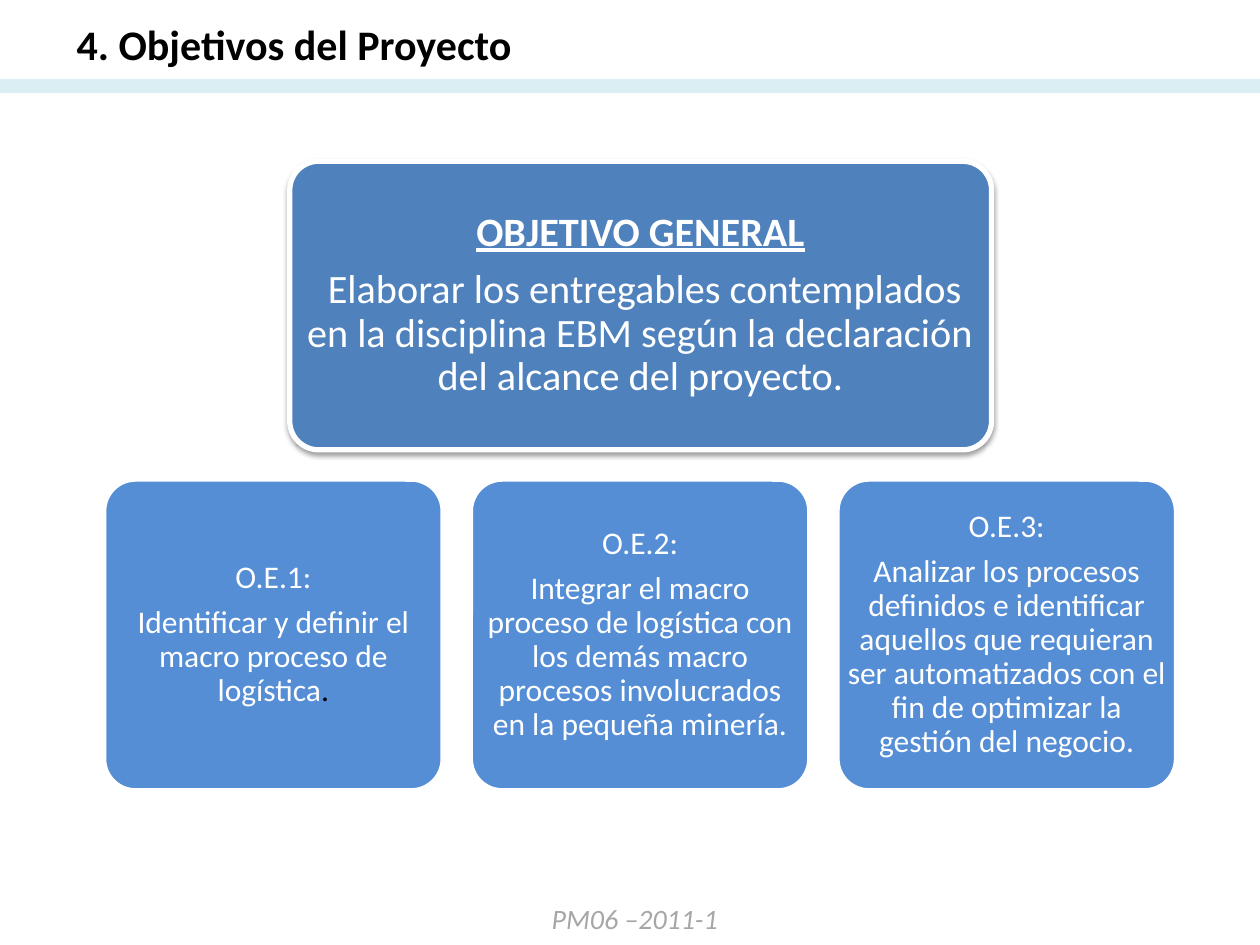
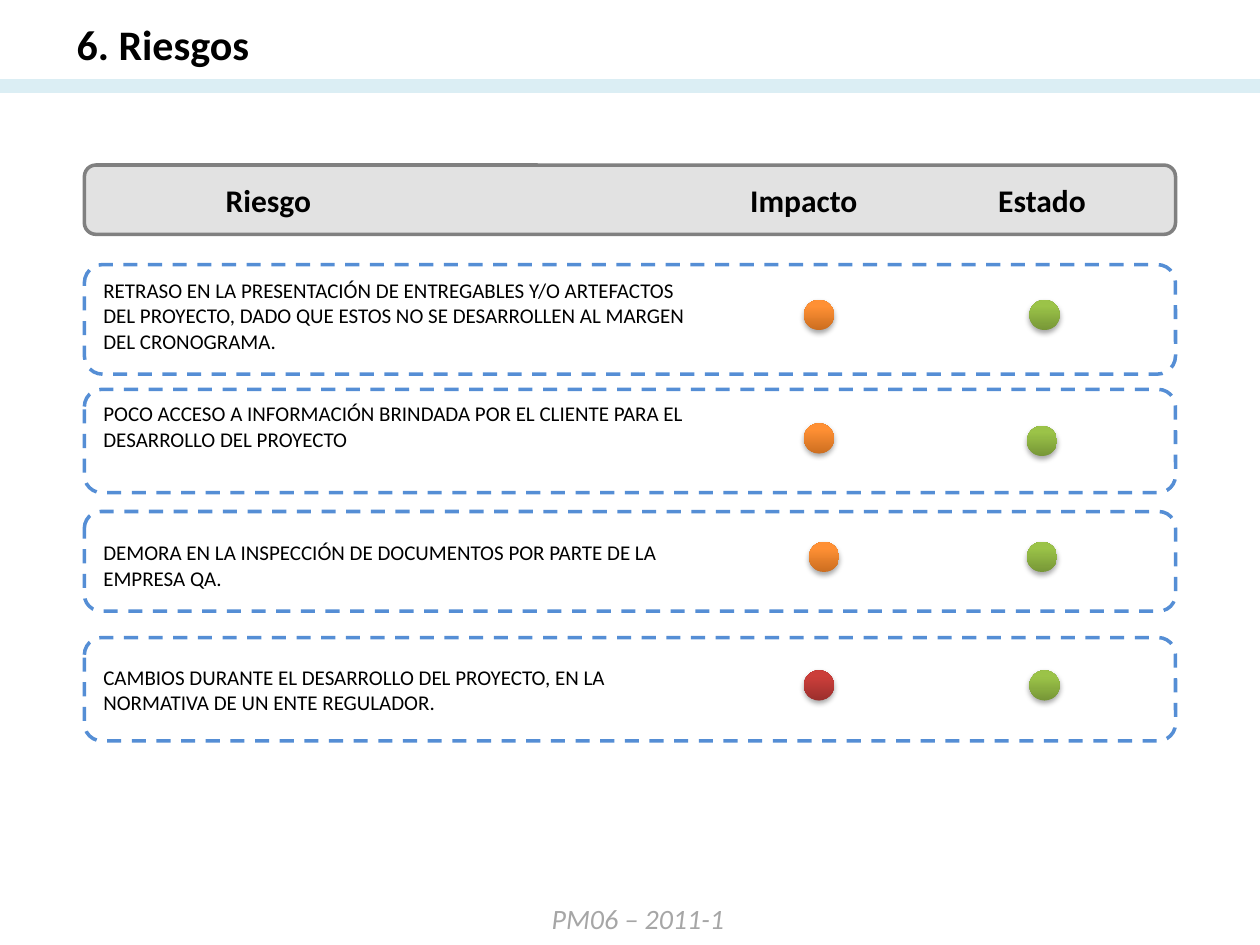
from dataclasses import dataclass
from lxml.etree import SubElement
from pptx import Presentation
from pptx.dml.color import RGBColor as Rgb
from pptx.enum.dml import MSO_LINE_DASH_STYLE as Dash
from pptx.enum.shapes import MSO_CONNECTOR as Connector, MSO_SHAPE as Shape
from pptx.enum.text import MSO_ANCHOR as Anchor, MSO_AUTO_SIZE as AutoSize, PP_ALIGN as Align
from pptx.oxml.ns import qn
from pptx.util import Inches, Pt


@dataclass(frozen=True)
class Theme:
    font: str = "Calibri"
    ink: str = "000000"
    paper: str = "FFFFFF"
    band: str = "DBEEF4"
    footer: str = "A6A6A6"
    general: str = "4F81BD"
    specific: str = "558ED5"
    header: str = "BFBFBF"
    header_line: str = "808080"
    green: tuple = ("779737", "9BC348")
    orange: tuple = ("CC6E20", "FF9034")
    red: tuple = ("9C2F2D", "CB3E3A")
    title_size: int = 24
    general_size: int = 23
    label_size: int = 18
    footer_size: int = 16
    risk_size: int = 12


theme = Theme()
deck = Presentation()
deck.slide_width, deck.slide_height = Inches(10), Inches(7.5)
COLUMN, ROW = deck.slide_width / 100, deck.slide_height / 75


def draw(page, kind, area, fill=None, line=None, weight=2, shadow=None):
    left, top, width, height = area
    place = [int(n) for n in (left * COLUMN, top * ROW, width * COLUMN, height * ROW)]
    if kind is None:
        return page.shapes.add_textbox(*place)
    shape = page.shapes.add_shape(kind, *place)
    shape.shadow.inherit = False
    if isinstance(fill, tuple):
        shape.fill.gradient()
        shape.fill.gradient_angle = 90
        for stop, colour, position in zip(shape.fill.gradient_stops, fill, (0, 0.8)):
            stop.color.rgb = Rgb.from_string(colour)
            stop.position = position
    elif fill:
        shape.fill.solid()
        shape.fill.fore_color.rgb = Rgb.from_string(fill)
    else:
        shape.fill.background()
    if line:
        shape.line.color.rgb = Rgb.from_string(line)
        shape.line.width = Pt(weight)
    else:
        shape.line.fill.background()
    if shadow:
        effects = shape.element.spPr.find(qn("a:effectLst"))
        cast = SubElement(effects, qn("a:outerShdw"), blurRad=str(Pt(3.1)),
                          dist=str(Pt(1.7)), dir="5400000", rotWithShape="0")
        black = SubElement(cast, qn("a:srgbClr"), val=theme.ink)
        SubElement(black, qn("a:alpha"), val=str(shadow * 1000))
    return shape


def write(frame, text, size, colour=theme.ink, bold=False, italic=False, align=Align.LEFT):
    frame.word_wrap = True
    frame.text = text
    for para in frame.paragraphs:
        para.alignment = align
        for span in para.runs:
            font = span.font
            font.name, font.size = theme.font, Pt(size)
            font.bold, font.italic = bold, italic
            font.color.rgb = Rgb.from_string(colour)


pages = []
for title, footer in (("4. Objetivos del Proyecto", "PM06 –2011-1 "),
                      ("6. Riesgos", "PM06 – 2011-1")):
    page = deck.slides.add_slide(deck.slide_layouts[6])
    box = draw(page, None, (42.8, 71.1, 15.9, 3.7))
    write(box.text_frame, footer, theme.footer_size, theme.footer, italic=True)
    box.text_frame.word_wrap = False
    box.text_frame.auto_size = AutoSize.SHAPE_TO_FIT_TEXT
    band_top = int(6.8 * ROW)
    band = page.shapes.add_connector(Connector.STRAIGHT, 0, band_top, deck.slide_width, band_top)
    band.line.color.rgb = Rgb.from_string(theme.band)
    band.line.width = Pt(8)
    SubElement(band.element.spPr, qn("a:effectLst"))
    box = draw(page, None, (5.1, 1, 50.4, 5))
    write(box.text_frame, title, theme.title_size, bold=True)
    pages.append(page)
goals_page, risks_page = pages

general = draw(goals_page, Shape.ROUNDED_RECTANGLE, (23, 12.8, 55.7, 22.9),
               theme.general, theme.paper, 3, shadow=38)
goals = [(general, theme.general_size, 0.3,
          "OBJETIVO GENERAL\n Elaborar los entregables contemplados en la disciplina EBM "
          "según la declaración del alcance del proyecto.")]
specific_goals = (
    "Identificar y definir el macro proceso de logística",
    "Integrar el macro proceso de logística con los demás macro procesos "
    "involucrados en la pequeña minería.",
    "Analizar los procesos definidos e identificar aquellos que requieran ser "
    "automatizados con el fin de optimizar la gestión del negocio.",
)
for index, goal in enumerate(specific_goals):
    card = draw(goals_page, Shape.ROUNDED_RECTANGLE, (8.3 + 29.1 * index, 38.1, 26.8, 24.6),
                theme.specific, theme.paper)
    goals.append((card, theme.label_size, 0, f"O.E.{index + 1}:\n{goal}"))
for box, size, inset, text in goals:
    box.adjustments[0] = 0.1
    frame = box.text_frame
    write(frame, text, size, theme.paper, align=Align.CENTER)
    frame.vertical_anchor = Anchor.MIDDLE
    frame.margin_left = frame.margin_right = int(inset * COLUMN)
    frame.margin_top = frame.margin_bottom = int(inset * ROW)
    for para in frame.paragraphs:
        para.line_spacing = 0.9
        para.space_after = Pt(0.35 * size)

heading = general.text_frame.paragraphs[0].runs[0].font
heading.bold = heading.underline = True
full_stop = goals[1][0].text_frame.paragraphs[1].add_run()
full_stop.text = "."
full_stop.font.name, full_stop.font.size = theme.font, Pt(theme.label_size)
full_stop.font.color.rgb = Rgb.from_string(theme.ink)

header = draw(risks_page, Shape.ROUNDED_RECTANGLE, (6.7, 13.1, 86.6, 5.5),
              theme.header, theme.header_line)
header_colour = header.element.spPr.find(qn("a:solidFill")).find(qn("a:srgbClr"))
SubElement(header_colour, qn("a:alpha"), val="45000")
for label, left, width in (("Riesgo", 13.8, 15), ("Impacto", 56.3, 15), ("Estado", 76.8, 11.8)):
    box = draw(risks_page, None, (left, 13.9, width, 4))
    write(box.text_frame, label, theme.label_size, bold=True, align=Align.CENTER)

risks = (
    ("RETRASO EN LA PRESENTACIÓN DE ENTREGABLES Y/O ARTEFACTOS DEL PROYECTO, "
     "DADO QUE ESTOS NO SE DESARROLLEN AL MARGEN DEL CRONOGRAMA.",
     20.6, 9, 21, 8.7, theme.orange, (63.8, 23.8), (81.7, 23.8)),
    ("POCO ACCESO A INFORMACIÓN BRINDADA POR EL CLIENTE PARA EL DESARROLLO DEL PROYECTO",
     30.4, 7, 30.9, 8.2, theme.orange, (63.8, 33.6), (81.5, 33.8)),
    ("DEMORA EN LA INSPECCIÓN DE DOCUMENTOS POR PARTE DE LA EMPRESA QA.",
     41.4, 7, 40.6, 7.9, theme.orange, (64.2, 43), (81.5, 43)),
    ("CAMBIOS DURANTE EL DESARROLLO DEL PROYECTO, EN LA NORMATIVA DE UN ENTE REGULADOR.",
     51.3, 7, 50.6, 8.2, theme.red, (63.8, 53.2), (81.7, 53.2)),
)
for text, top, height, frame_top, frame_height, impact, impact_spot, state_spot in risks:
    place = [int(n) for n in (6.7 * COLUMN, top * ROW, 85.1 * COLUMN, height * ROW)]
    table = risks_page.shapes.add_table(1, 3, *place).table
    for column, width in zip(table.columns, (49.8, 15.5, 19.8)):
        column.width = int(width * COLUMN)
    for cell in table.rows[0].cells:
        cell.fill.background()
    cell = table.cell(0, 0)
    cell.margin_left = cell.margin_right = int(1.5 * COLUMN)
    cell.margin_top = cell.margin_bottom = int(1.5 * ROW)
    write(cell.text_frame, text, theme.risk_size)
    outline = draw(risks_page, Shape.ROUNDED_RECTANGLE, (6.7, frame_top, 86.6, frame_height),
                   line=theme.specific)
    outline.line.dash_style = Dash.DASH
    for colours, spot in ((impact, impact_spot), (theme.green, state_spot)):
        draw(risks_page, Shape.OVAL, (*spot, 2.4, 2.4), colours, shadow=35)

deck.save("out.pptx")
